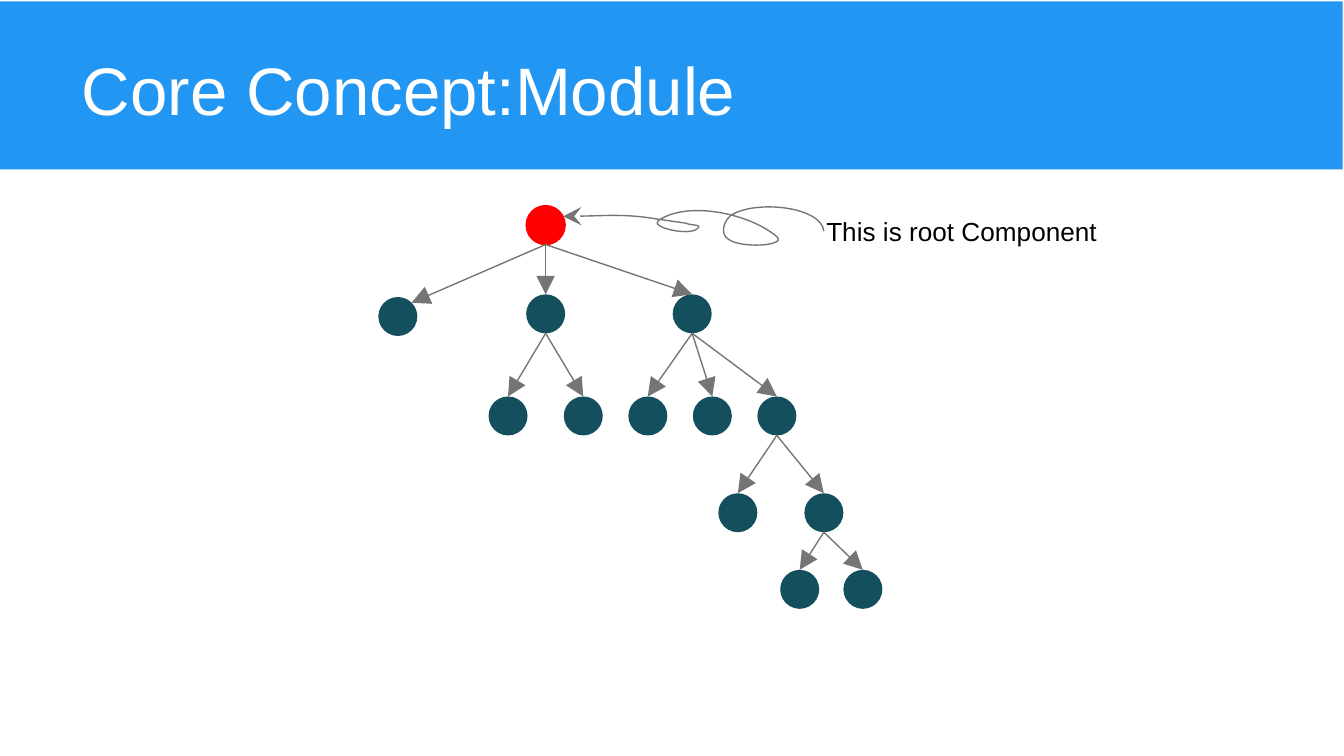
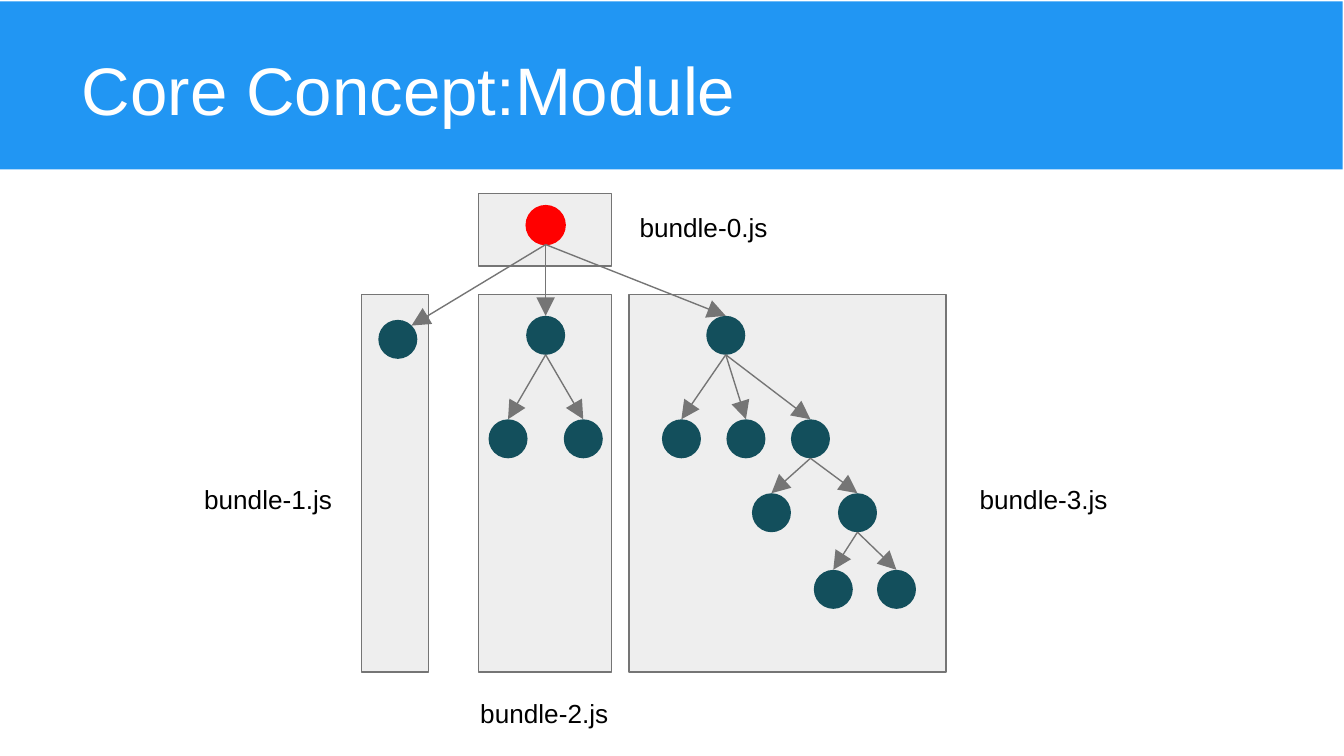
from math import sqrt

from lxml.etree import SubElement
from pptx import Presentation
from pptx.dml.color import RGBColor
from pptx.enum.shapes import MSO_CONNECTOR, MSO_SHAPE
from pptx.enum.text import MSO_ANCHOR, MSO_AUTO_SIZE, PP_ALIGN
from pptx.oxml.ns import qn
from pptx.util import Inches, Pt

BLUE = RGBColor(0x21, 0x96, 0xF3)
TEAL = RGBColor(0x13, 0x4F, 0x5C)
RED = RGBColor(0xFF, 0x00, 0x00)
GRAY = RGBColor(0x75, 0x75, 0x75)
PALE = RGBColor(0xEE, 0xEE, 0xEE)
WHITE = RGBColor(0xFF, 0xFF, 0xFF)
BLACK = RGBColor(0x00, 0x00, 0x00)

FONT = "Arial"
TITLE = "Core Concept:Module"
WIDTH = 10
HEIGHT = WIDTH * 9 / 16
NODE = 0.29  # diameter of a component
LINE = 0.75
BAND = (-0.01, 0.01, WIDTH, 1.25)
TITLE_BOX = (0.51, 0.11, 8.85, 0.95)

# Component tree: name -> (parent, level, centre x)
COMPONENTS = {
    "root": (None, 0, 4.06),
    "leaf": ("root", 1, 2.96),
    "middle": ("root", 1, 4.06),
    "middle a": ("middle", 2, 3.78),
    "middle b": ("middle", 2, 4.34),
    "right": ("root", 1, 5.15),
    "right a": ("right", 2, 4.82),
    "right b": ("right", 2, 5.3),
    "right c": ("right", 2, 5.78),
    "right c1": ("right c", 3, 5.49),
    "right c2": ("right c", 3, 6.13),
    "right c2a": ("right c2", 4, 5.95),
    "right c2b": ("right c2", 4, 6.42),
}

# Per slide: top of each level, shift of the right branch, drop of the lone leaf
TREE_LAYOUTS = [
    {"tops": (1.53, 2.19, 2.95, 3.67, 4.24), "shift": 0, "drop": 0.02},
    {"tops": (1.53, 2.35, 3.12, 3.67, 4.24), "shift": 0.25, "drop": 0.03},
]

# Root note with the scribble that leads to the root: start, then cubic curves
ROOT_NOTE = ("This is root Component", (6.05, 1.5, 2.6, 0.52))
SCRIBBLE_BOX = (4.19, 1.54, 1.94, 0.29)
SCRIBBLE_START = (6.13, 1.72)
SCRIBBLE_CURVES = [
    ((6.11, 1.54), (5.65, 1.49), (5.46, 1.59)),
    ((5.39, 1.62), (5.35, 1.74), (5.42, 1.78)),
    ((5.51, 1.85), (5.86, 1.83), (5.78, 1.76)),
    ((5.58, 1.59), (5.12, 1.49), (4.9, 1.64)),
    ((4.83, 1.69), (5.13, 1.76), (5.19, 1.7)),
    ((5.23, 1.67), (5.15, 1.68), (5.1, 1.66)),
    ((5.03, 1.65), (4.96, 1.64), (4.89, 1.63)),
    ((4.66, 1.59), (4.43, 1.61), (4.19, 1.61)),
]

# Bundles: label, label left and top, alignment, frame
BRANCH_TOP, BRANCH_HEIGHT = 2.19, 2.81
LABEL_SIZE = (1.22, 0.4)
BUNDLES = [
    ("bundle-0.js", (4.66, 1.47), PP_ALIGN.LEFT, (3.56, 1.44, 0.99, 0.54)),
    ("bundle-1.js", (1.42, 3.5), PP_ALIGN.LEFT, (2.69, BRANCH_TOP, 0.5, BRANCH_HEIGHT)),
    ("bundle-2.js", (3.44, 5.09), PP_ALIGN.CENTER, (3.56, BRANCH_TOP, 0.99, BRANCH_HEIGHT)),
    ("bundle-3.js", (7.19, 3.5), PP_ALIGN.LEFT, (4.68, BRANCH_TOP, 2.36, BRANCH_HEIGHT)),
]


def inches(lengths):
    return [Inches(length) for length in lengths]


def add_figure(slide, kind, box, fill, outline=None):
    figure = slide.shapes.add_shape(kind, *inches(box))
    figure.shadow.inherit = False
    figure.fill.solid()
    figure.fill.fore_color.rgb = fill
    if outline is None:
        figure.line.fill.background()
    else:
        figure.line.color.rgb = outline
        figure.line.width = Pt(LINE)
    return figure


def write(frame, text, size, color, align=PP_ALIGN.LEFT, anchor=MSO_ANCHOR.TOP):
    frame.text = text
    frame.word_wrap = True
    frame.auto_size = MSO_AUTO_SIZE.NONE
    frame.vertical_anchor = anchor
    frame.margin_left = frame.margin_right = Inches(0.1)
    frame.margin_top = frame.margin_bottom = Inches(0.1)
    paragraph = frame.paragraphs[0]
    paragraph.alignment = align
    paragraph.font.name = FONT
    paragraph.font.size = Pt(size)
    paragraph.font.color.rgb = color


def add_label(slide, text, box, align=PP_ALIGN.LEFT):
    label = slide.shapes.add_textbox(*inches(box))
    write(label.text_frame, text, 14, BLACK, align)


def style_arrow(arrow, head):
    arrow.line.color.rgb = GRAY
    arrow.line.width = Pt(LINE)
    properties = arrow.element.spPr
    SubElement(properties.find(qn("a:ln")), qn("a:tailEnd"), type=head, w="lg", len="lg")
    if properties.find(qn("a:effectLst")) is None:
        SubElement(properties, qn("a:effectLst"))


def add_band(slide):
    """Draw the title band once and hand it to the layout."""
    band = add_figure(slide, MSO_SHAPE.RECTANGLE, BAND, BLUE)
    slide.slide_layout.shapes.element.insert(2, band.element)


def add_titled_slide(deck):
    slide = deck.slides.add_slide(deck.slide_layouts[5])
    title = slide.shapes.title
    title.left, title.top, title.width, title.height = inches(TITLE_BOX)
    write(title.text_frame, TITLE, 36, WHITE, anchor=MSO_ANCHOR.BOTTOM)
    return slide


def add_tree(slide, tops, shift, drop):
    # Components
    places = {}
    for name, (parent, level, x) in COMPONENTS.items():
        x += shift if name.startswith("right") else 0
        y = tops[level] + (drop if name == "leaf" else 0)
        places[name] = (x, y)
        fill, outline = (TEAL, None) if parent else (RED, RED)
        add_figure(slide, MSO_SHAPE.OVAL, (x - NODE / 2, y, NODE, NODE), fill, outline)

    # Arrows from the foot of the parent to the top of the child
    slant = NODE / 2 / sqrt(2)
    for name, (parent, _, _) in COMPONENTS.items():
        if parent is None:
            continue
        start_x, start_y = places[parent]
        end_x, end_y = places[name]
        if name == "leaf":  # reached at its upper right
            end_x, end_y = end_x + slant, end_y + NODE / 2 - slant
        ends = inches((start_x, start_y + NODE, end_x, end_y))
        style_arrow(slide.shapes.add_connector(MSO_CONNECTOR.STRAIGHT, *ends), "triangle")


def add_scribble(slide):
    left, top, width, height = inches(SCRIBBLE_BOX)
    builder = slide.shapes.build_freeform(left, top)
    builder.add_line_segments([(left + width, top + height)], close=False)
    scribble = builder.convert_to_shape()
    scribble.shadow.inherit = False
    scribble.fill.background()

    # Swap the straight outline for cubic curves
    outline = next(scribble.element.iter(qn("a:path")))
    for step in list(outline):
        outline.remove(step)
    steps = [("a:moveTo", [SCRIBBLE_START])]
    steps += [("a:cubicBezTo", curve) for curve in SCRIBBLE_CURVES]
    for tag, points in steps:
        step = SubElement(outline, qn(tag))
        for x, y in points:
            SubElement(step, qn("a:pt"), x=str(Inches(x) - left), y=str(Inches(y) - top))
    style_arrow(scribble, "stealth")


def main():
    deck = Presentation()
    deck.slide_width, deck.slide_height = inches((WIDTH, HEIGHT))
    root_tree, bundle_tree = TREE_LAYOUTS

    # The tree and its root
    root_slide = add_titled_slide(deck)
    add_band(root_slide)
    add_tree(root_slide, **root_tree)
    add_scribble(root_slide)
    add_label(root_slide, *ROOT_NOTE)

    # The tree split into bundles
    bundle_slide = add_titled_slide(deck)
    for _, _, _, frame in BUNDLES:
        add_figure(bundle_slide, MSO_SHAPE.RECTANGLE, frame, PALE, GRAY)
    add_tree(bundle_slide, **bundle_tree)
    for text, corner, align, _ in BUNDLES:
        add_label(bundle_slide, text, corner + LABEL_SIZE, align)

    deck.save("out.pptx")


if __name__ == "__main__":
    main()
